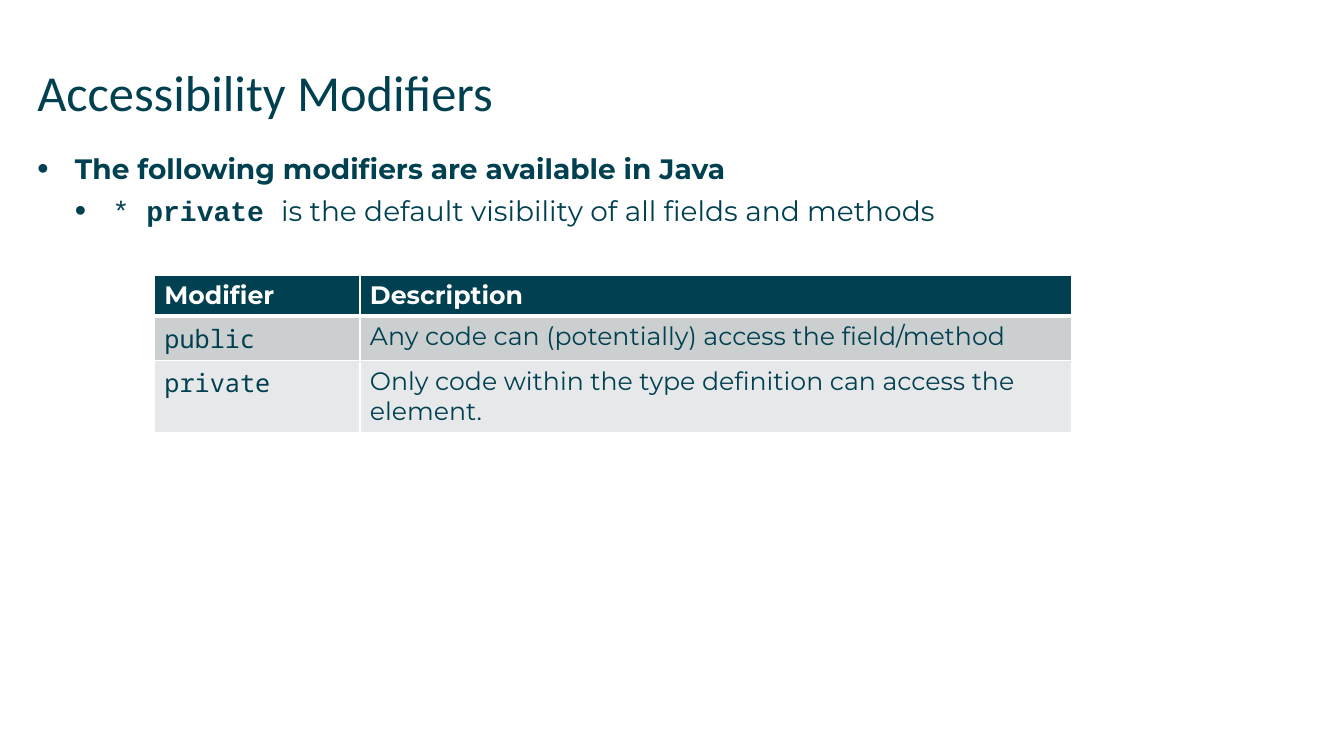
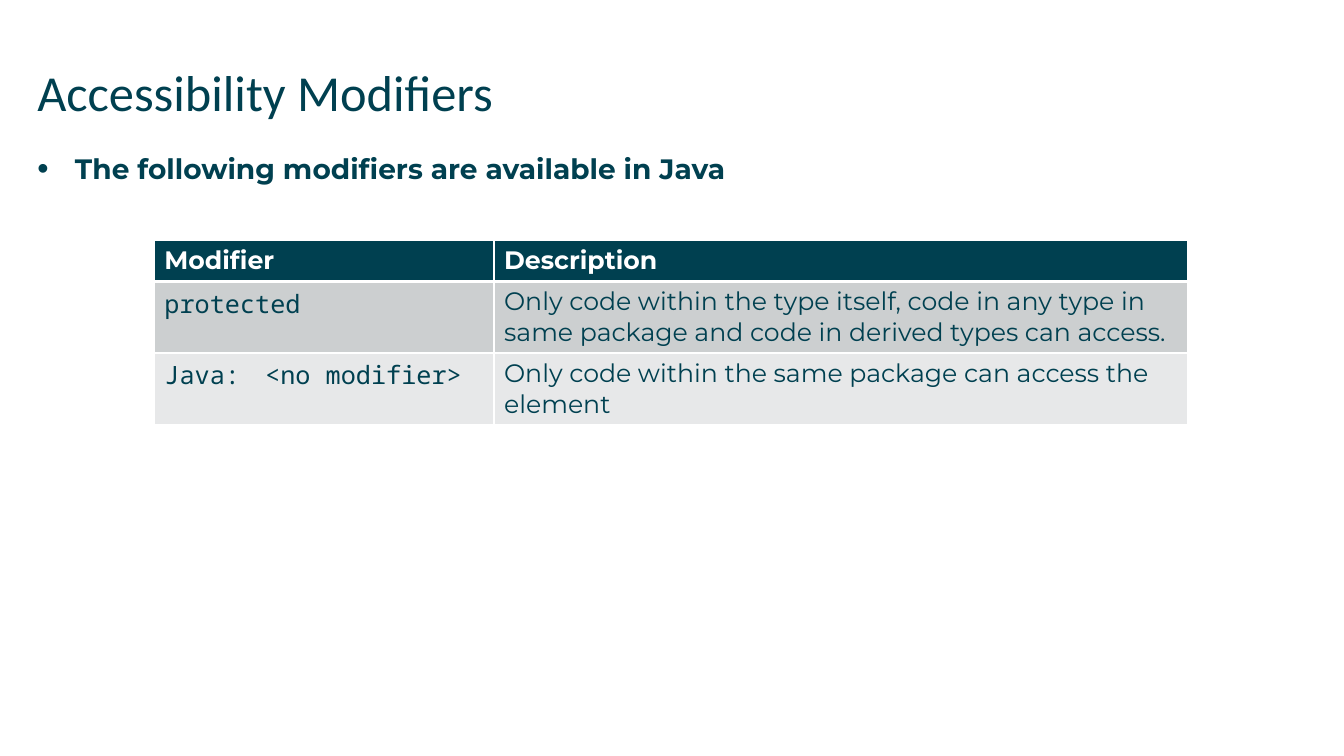
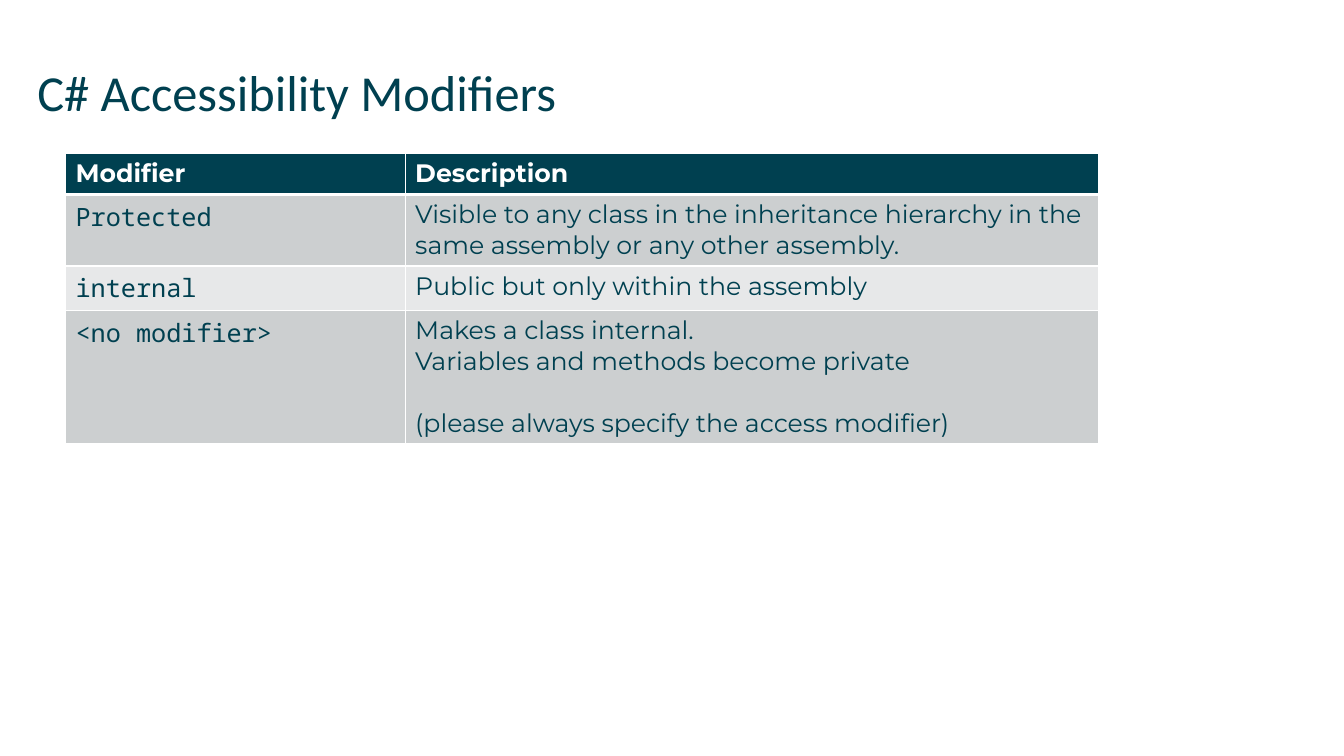
from dataclasses import dataclass

import lxml.etree
import pptx
import pptx.dml.color
import pptx.enum.text
import pptx.oxml.ns
import pptx.util

Cm = pptx.util.Cm
Pt = pptx.util.Pt


@dataclass(frozen=True)
class Theme:
    ink: str = "004050"
    paper: str = "FFFFFF"
    bands: tuple[str, str] = ("CCCFD0", "E7E8E9")
    title_font: str = "Calibri"
    text_font: str = "Montserrat"
    code_font: str = "Noto Sans Mono"
    keyword_font: str = "Courier New"
    title_size: int = 36
    list_size: int = 20
    table_size: int = 18
    rule: int = 1
    header_rule: int = 3


THEME = Theme()


@dataclass(frozen=True)
class Span:
    text: str
    font: str = THEME.text_font
    bold: bool = False


@dataclass(frozen=True)
class Bullet:
    spans: tuple[Span, ...]
    level: int = 0


@dataclass(frozen=True)
class Line:
    text: str
    before: int = 0


@dataclass(frozen=True)
class Modifier:
    keyword: str
    description: tuple[Line, ...]


@dataclass(frozen=True)
class ModifierTable:
    left: float
    top: float
    widths: tuple[float, float]
    modifiers: tuple[Modifier, ...]


@dataclass(frozen=True)
class Page:
    title: str
    table: ModifierTable
    bullets: tuple[Bullet, ...] = ()


AVAILABLE = Bullet((Span("The following modifiers are available in Java", bold=True),))
DEFAULT_VISIBILITY = Bullet(
    (
        Span("* ", THEME.keyword_font),
        Span("private ", THEME.keyword_font, True),
        Span("is the default visibility of all fields and methods"),
    ),
    level=1,
)
WIDE = (8.56, 17.48)

PAGES = (
    Page(
        "Accessibility Modifiers",
        ModifierTable(3.89, 6.93, (5.18, 17.93), (
            Modifier("public", (Line("Any code can (potentially) access the field/method"),)),
            Modifier("private", (Line("Only code within the type definition can access the element."),)),
        )),
        (AVAILABLE, DEFAULT_VISIBILITY),
    ),
    Page(
        "Accessibility Modifiers",
        ModifierTable(3.89, 6.05, WIDE, (
            Modifier("protected", (Line(
                "Only code within the type itself, code in any type in same package "
                "and code in derived types can access."),)),
            Modifier("Java: \t<no modifier>", (Line(
                "Only code within the same package can access the element"),)),
        )),
        (AVAILABLE,),
    ),
    Page(
        "C# Accessibility Modifiers",
        ModifierTable(1.65, 3.86, WIDE, (
            Modifier("Protected", (Line(
                "Visible to any class in the inheritance hierarchy in the same assembly "
                "or any other assembly."),)),
            Modifier("internal", (Line("Public but only within the assembly"),)),
            Modifier("<no modifier>", (
                Line("Makes a class internal."),
                Line("Variables and methods become private"),
                Line("(please always specify the access modifier)", before=22),
            )),
        )),
    ),
)


def add_xml(parent, tag: str, **attributes):
    return lxml.etree.SubElement(parent, pptx.oxml.ns.qn(tag), attributes)


def rgb(color: str) -> pptx.dml.color.RGBColor:
    return pptx.dml.color.RGBColor.from_string(color)


def write(paragraph, text: str, *, size: int, font: str = THEME.text_font,
          color: str = THEME.ink, bold: bool = False) -> None:
    run = paragraph.add_run()
    run.text = text
    run.font.name = font
    run.font.size = Pt(size)
    run.font.bold = bold
    run.font.color.rgb = rgb(color)


def place(holder, left: float, top: float, width: float, height: float):
    holder.left, holder.top, holder.width, holder.height = map(Cm, (left, top, width, height))
    frame = holder.text_frame
    frame.margin_left = frame.margin_top = frame.margin_right = frame.margin_bottom = 0
    frame.vertical_anchor = pptx.enum.text.MSO_ANCHOR.TOP
    frame.auto_size = pptx.enum.text.MSO_AUTO_SIZE.NONE
    frame.word_wrap = True
    return frame


def paragraphs(frame, count: int) -> list:
    return [frame.paragraphs[0]] + [frame.add_paragraph() for _ in range(count - 1)]


def draw_title(slide, title: str) -> None:
    paragraph = place(slide.shapes.title, 0.94, 1.55, 32, 2.24).paragraphs[0]
    paragraph.alignment = pptx.enum.text.PP_ALIGN.LEFT
    write(paragraph, title, size=THEME.title_size, font=THEME.title_font)


def draw_bullets(slide, bullets: tuple[Bullet, ...]) -> None:
    frame = place(slide.placeholders[1], 0.94, 3.81, 26.09, 2.24)
    indent = Cm(0.95)
    for paragraph, bullet in zip(paragraphs(frame, len(bullets)), bullets):
        properties = paragraph._p.get_or_add_pPr()
        properties.set("marL", str(indent * (bullet.level + 1)))
        properties.set("indent", str(-indent))
        add_xml(properties, "a:buSzPct", val="115000")
        add_xml(properties, "a:buFont", typeface="Arial")
        add_xml(properties, "a:buChar", char="•")
        paragraph.level = bullet.level
        paragraph.space_before = Pt(0)
        paragraph.space_after = Pt(6.5)
        for span in bullet.spans:
            write(paragraph, span.text, size=THEME.list_size, font=span.font, bold=span.bold)


def style_cell(cell, fill: str, *, top: int, bottom: int) -> None:
    properties = cell._tc.get_or_add_tcPr()
    rules = {"a:lnL": THEME.rule, "a:lnR": THEME.rule, "a:lnT": top, "a:lnB": bottom}
    for side, width in rules.items():
        border = add_xml(properties, side, w=str(Pt(width)))
        add_xml(add_xml(border, "a:solidFill"), "a:srgbClr", val=THEME.paper)
    cell.fill.solid()
    cell.fill.fore_color.rgb = rgb(fill)


def fill_cell(cell, lines: tuple[Line, ...], **text_format) -> None:
    for paragraph, line in zip(paragraphs(cell.text_frame, len(lines)), lines):
        if "\t" in line.text:
            stops = add_xml(paragraph._p.get_or_add_pPr(), "a:tabLst")
            add_xml(stops, "a:tab", pos=str(Cm(2.54)), algn="l")
        if line.before:
            paragraph.space_before = Pt(line.before)
        write(paragraph, line.text, size=THEME.table_size, **text_format)


def draw_table(slide, content: ModifierTable) -> None:
    row_height = Cm(1.04)
    count = len(content.modifiers) + 1
    table = slide.shapes.add_table(
        count, 2, Cm(content.left), Cm(content.top),
        Cm(sum(content.widths)), row_height * count,
    ).table
    for column, width in zip(table.columns, content.widths):
        column.width = Cm(width)
    for row in table.rows:
        row.height = row_height
    for cell, heading in zip(table.rows[0].cells, ("Modifier", "Description")):
        style_cell(cell, THEME.ink, top=THEME.rule, bottom=THEME.header_rule)
        fill_cell(cell, (Line(heading),), color=THEME.paper, bold=True)
    for index, modifier in enumerate(content.modifiers):
        keyword, description = table.rows[index + 1].cells
        top = THEME.rule if index else THEME.header_rule
        for cell in (keyword, description):
            style_cell(cell, THEME.bands[index % 2], top=top, bottom=THEME.rule)
        fill_cell(keyword, (Line(modifier.keyword),), font=THEME.code_font)
        fill_cell(description, modifier.description)


def main() -> None:
    deck = pptx.Presentation()
    deck.slide_width, deck.slide_height = Cm(33.87), Cm(19.05)
    title_and_list, title_only = deck.slide_layouts[1], deck.slide_layouts[5]
    for page in PAGES:
        slide = deck.slides.add_slide(title_and_list if page.bullets else title_only)
        draw_title(slide, page.title)
        if page.bullets:
            draw_bullets(slide, page.bullets)
        draw_table(slide, page.table)
    deck.save("out.pptx")


if __name__ == "__main__":
    main()
